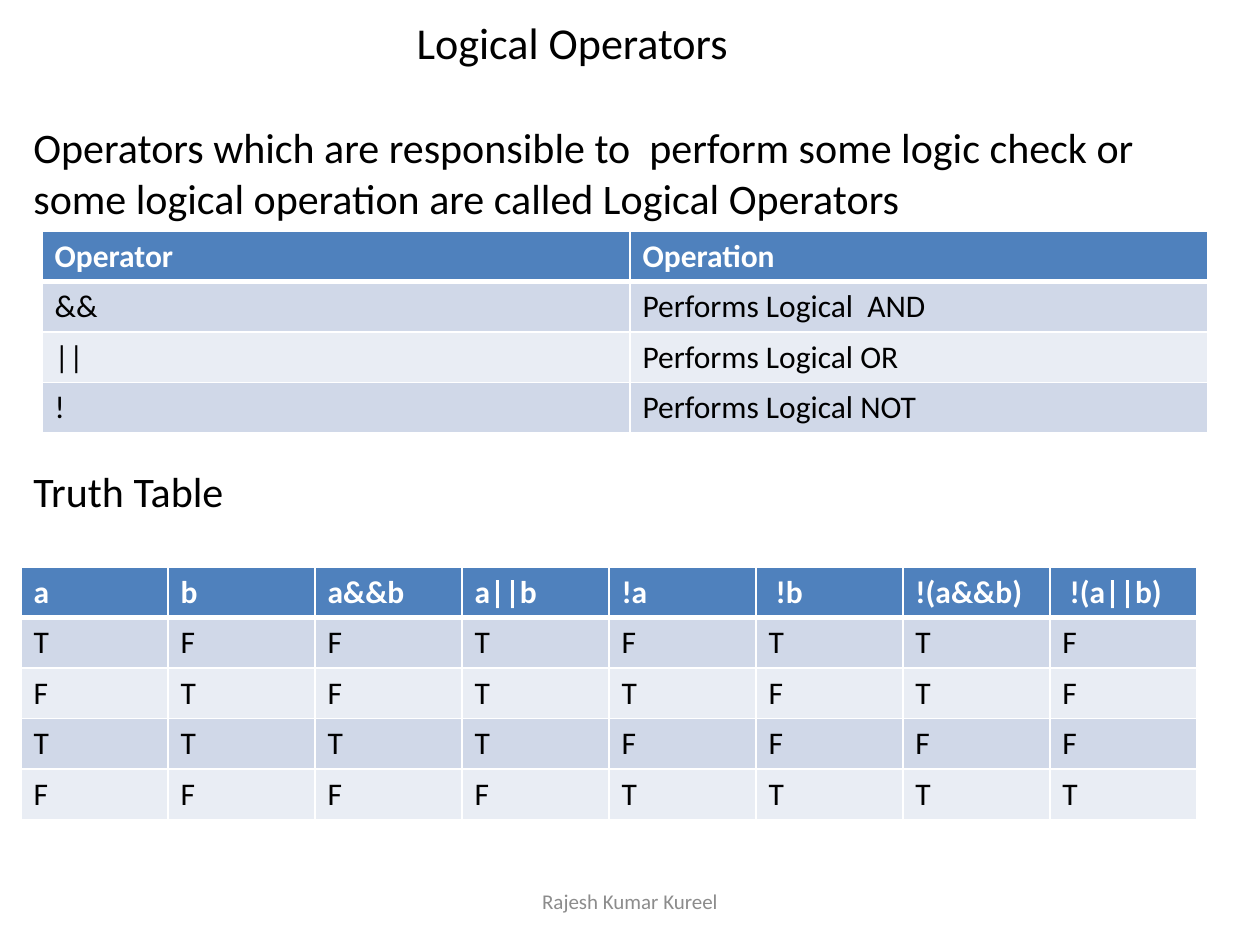
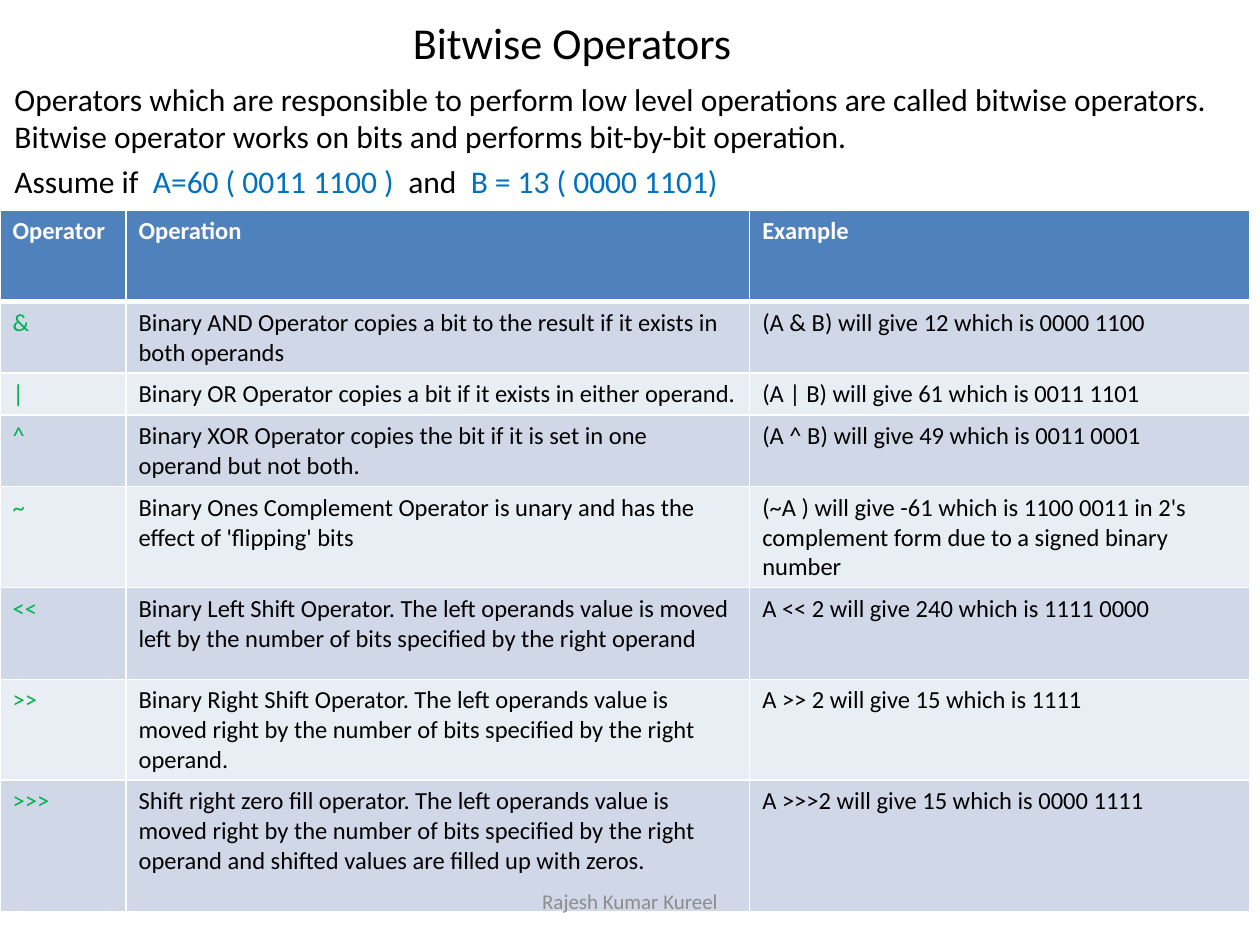
from pptx import Presentation
from pptx.dml.color import RGBColor
from pptx.enum.text import MSO_ANCHOR, PP_ALIGN
from pptx.util import Pt
from lxml.etree import SubElement
from pptx.oxml.ns import qn

COLORS = {"text": "000000", "footer": "8C8C8C", "white": "FFFFFF",
          "header": "4F81BD", "band_dark": "D0D8E8", "band_light": "E9EDF4",
          "value": "0070C0", "symbol": "00B050"}


def rgb(name):
    """Return the palette colour with this name."""
    return RGBColor.from_string(COLORS[name])


class Deck:
    """Holds the shared style and the slide being built."""

    font = "Calibri"

    def __init__(self):
        """Start an empty 10 by 7.5 inch presentation."""
        self.prs = Presentation()
        self.prs.slide_width, self.prs.slide_height = Pt(720), Pt(540)
        self.s = None

    def style(self, p, size, color="text", bold=False):
        """Set the font of a whole paragraph."""
        f = p.font
        f.name, f.size, f.bold = self.font, Pt(size), bold
        f.color.rgb = rgb(color)

    def text(self, box, paragraphs, size, color="text", gap=0, centred=False):
        """Add a text box; a paragraph is a list of (text, colour) runs."""
        sp = self.s.shapes.add_textbox(*map(Pt, box))
        tf = sp.text_frame
        tf.word_wrap = True
        if centred:
            tf.vertical_anchor = MSO_ANCHOR.MIDDLE
        for i, runs in enumerate(paragraphs):
            p = tf.add_paragraph() if i else tf.paragraphs[0]
            p.space_before = Pt(gap if i else 0)
            p.alignment = PP_ALIGN.CENTER if centred else PP_ALIGN.LEFT
            self.style(p, size, color)
            for words, run_color in runs:
                r = p.add_run()
                r.text = words
                if run_color != color:
                    r.font.color.rgb = rgb(run_color)

    def slide(self, title):
        """Start a blank slide with its title."""
        self.s = self.prs.slides.add_slide(self.prs.slide_layouts[6])
        self.text((54, 6, 546, 36), [[(title, "text")]], 25.2, centred=True)

    def footer(self):
        """Add the presenter's name at the foot, above everything else."""
        self.text((246, 500.4, 228, 28.8), [[("Rajesh Kumar Kureel", "footer")]],
                  12, "footer", centred=True)

    def borders(self, cell, top, bottom):
        """Draw white cell borders, one point wide at the sides."""
        tc_pr = cell._tc.get_or_add_tcPr()
        for side, width in (("L", 1), ("R", 1), ("T", top), ("B", bottom)):
            ln = SubElement(tc_pr, qn(f"a:ln{side}"), w=str(Pt(width)))
            fill = SubElement(ln, qn("a:solidFill"))
            SubElement(fill, qn("a:srgbClr"), val=COLORS["white"])

    def table(self, left, top, widths, heights, rows, size, first_color="text"):
        """Add a banded table whose first row is the header."""
        frame = self.s.shapes.add_table(
            len(rows), len(widths), Pt(left), Pt(top), Pt(sum(widths)), Pt(sum(heights)))
        table = frame.table
        for column, width in zip(table.columns, widths):
            column.width = Pt(width)
        for i, (row, height) in enumerate(zip(rows, heights)):
            table.rows[i].height = Pt(height)
            band = "header" if i == 0 else "band_dark" if i % 2 else "band_light"
            for j, words in enumerate(row):
                cell = table.cell(i, j)
                self.borders(cell, 3 if i == 1 else 1, 3 if i == 0 else 1)
                cell.fill.solid()
                cell.fill.fore_color.rgb = rgb(band)
                cell.text = words
                color = "white" if i == 0 else "text" if j else first_color
                self.style(cell.text_frame.paragraphs[0], size, color, i == 0)


OPERATORS = [
    ("Operator", "Operation"),
    ("&&", "Performs Logical  AND"),
    ("||", "Performs Logical OR"),
    ("!", "Performs Logical NOT"),
]
TRUTH = [
    ("a", "b", "a&&b", "a||b", "!a", " !b", "!(a&&b)", " !(a||b)"),
    "TFFTFTTF", "FTFTTFTF", "TTTTFFFF", "FFFFTTTT",
]
BITWISE = [
    ("Operator", "Operation", "Example"),
    ("&", "Binary AND Operator copies a bit to the result if it exists in both operands",
     "(A & B) will give 12 which is 0000 1100"),
    ("|", "Binary OR Operator copies a bit if it exists in either operand. ",
     "(A | B) will give 61 which is 0011 1101"),
    ("^", "Binary XOR Operator copies the bit if it is set in one operand but not both.",
     "(A ^ B) will give 49 which is 0011 0001"),
    ("~", "Binary Ones Complement Operator is unary and has the effect of 'flipping' bits",
     "(~A ) will give -61 which is 1100 0011 in 2's complement form due to a signed "
     "binary number"),
    ("<<", "Binary Left Shift Operator. The left operands value is moved left by the "
     "number of bits specified by the right operand",
     "A << 2 will give 240 which is 1111 0000"),
    (">>", "Binary Right Shift Operator. The left operands value is moved right by the "
     "number of bits specified by the right operand.",
     "A >> 2 will give 15 which is 1111"),
    (">>>", "Shift right zero fill operator. The left operands value is moved right by the "
     "number of bits specified by the right operand and shifted values are filled up "
     "with zeros. ",
     "A >>>2 will give 15 which is 0000 1111"),
]


def logical_slide(deck):
    """Build the slide on logical operators."""
    deck.slide("Logical Operators")
    deck.text((12, 66, 696, 456), [
        [("Operators which are responsible to  perform some logic check or some logical "
          "operation are called Logical Operators", "text")],
        [("Truth Table", "text")],
    ], 24, gap=139)
    deck.table(24, 132, [336, 330], [28.8] * 4, OPERATORS, 18)
    deck.table(12, 324, [84] * 8, [28.8] * 5, TRUTH, 18)
    deck.footer()


def bitwise_slide(deck):
    """Build the slide on bitwise operators."""
    deck.slide("Bitwise Operators")
    deck.text((1.2, 42, 718.8, 498), [
        [("Operators which are responsible to perform low level operations are called "
          "bitwise operators. Bitwise operator works on bits and performs bit-by-bit "
          "operation.", "text")],
        [("Assume if  ", "text"), ("A=60 ( 0011 1100 )  ", "value"),
         ("and  ", "text"), ("B = 13 ( 0000 1101)", "value")],
    ], 18, gap=3.6)
    deck.table(0, 120, [72, 356.4, 285.6], [52.4, 39, 23, 39, 55.4, 52.4, 52.4, 75],
               BITWISE, 14, "symbol")
    deck.footer()


deck = Deck()
logical_slide(deck)
bitwise_slide(deck)
deck.prs.save("out.pptx")
